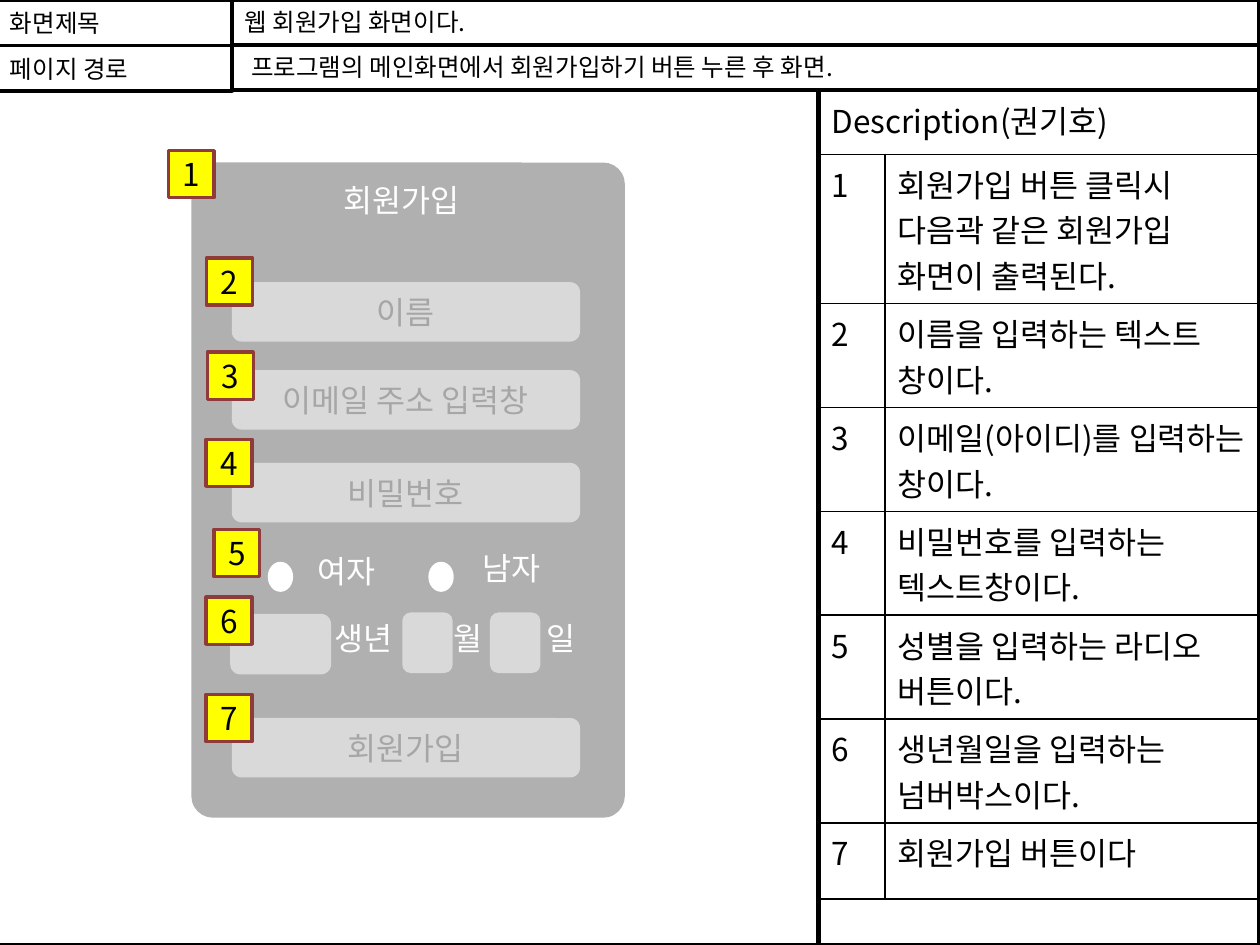
from dataclasses import dataclass

from lxml import etree
from pptx import Presentation
from pptx import util as u
from pptx.dml import color
from pptx.enum import shapes, text
from pptx.oxml import ns

Pt = u.Pt
rgb = color.RGBColor.from_string


@dataclass(frozen=True)
class Theme:
    font: str = "Noto Sans CJK KR"
    black: str = "000000"
    white: str = "FFFFFF"
    panel: str = "808080"
    field: str = "D9D9D9"
    hint: str = "A6A6A6"
    marker: str = "FFFF00"
    marker_line: str = "8E3B39"
    small: int = 14
    body: int = 18


theme = Theme()


def write(frame, content, size=theme.body, ink=theme.black, align=text.PP_ALIGN.LEFT,
          anchor=text.MSO_ANCHOR.MIDDLE):
    frame.word_wrap = True
    frame.vertical_anchor = anchor
    paragraph = frame.paragraphs[0]
    paragraph.alignment = align
    run = paragraph.add_run()
    run.text = content
    run.font.name = theme.font
    run.font.size = Pt(size)
    run.font.color.rgb = rgb(ink)
    # Hangul takes its typeface from the East Asian font
    east_asian = etree.SubElement(run.font._element, ns.qn("a:ea"))
    east_asian.set("typeface", theme.font)


def add_box(kind, left, top, width, height, fill=None, line=None):
    shape = slide.shapes.add_shape(kind, Pt(left), Pt(top), Pt(width), Pt(height))
    shape.shadow.inherit = False
    if fill:
        shape.fill.solid()
        shape.fill.fore_color.rgb = rgb(fill)
    else:
        shape.fill.background()
    if line:
        shape.line.color.rgb = rgb(line)
        shape.line.width = Pt(2)
    else:
        shape.line.fill.background()
    return shape


rectangle = shapes.MSO_SHAPE.RECTANGLE
rounded = shapes.MSO_SHAPE.ROUNDED_RECTANGLE
center = text.PP_ALIGN.CENTER

presentation = Presentation()
presentation.slide_width, presentation.slide_height = Pt(720), Pt(540)
slide = presentation.slides.add_slide(presentation.slide_layouts[5])

# Page frames
header_bottom = 51.8
for height in (540, header_bottom, 26):
    add_box(rectangle, -0.7, 0, 720, height, line=theme.black)

# Header labels, screen title and page path
for top, label in ((0, "화면제목"), (26, "페이지 경로")):
    shape = add_box(rectangle, -1.4, top, 134, 26, line=theme.black)
    write(shape.text_frame, label, size=theme.small)

title = slide.shapes.title
title.left, title.top, title.width, title.height = Pt(132.5), Pt(0), Pt(587), Pt(25.4)
title.line.color.rgb = rgb(theme.black)
title.line.width = Pt(2)
title.text_frame.auto_size = text.MSO_AUTO_SIZE.NONE
write(title.text_frame, "웹 회원가입 화면이다.", size=theme.small)

page_path = add_box(rectangle, 132.5, 25.4, 587, 26, line=theme.black)
page_path.text_frame.margin_left = Pt(11)
write(page_path.text_frame, "프로그램의 메인화면에서 회원가입하기 버튼 누른 후 화면.", size=theme.small)

# Screen area and description area
for left, width in ((-0.7, 468), (468, 252)):
    add_box(rectangle, left, header_bottom, width, 540 - header_bottom, line=theme.black)

# Description table
descriptions = [
    "회원가입 버튼 클릭시 다음곽 같은 회원가입 화면이 출력된다.",
    "이름을 입력하는 텍스트 창이다.",
    "이메일(아이디)를 입력하는 창이다.",
    "비밀번호를 입력하는 텍스트창이다.",
    "성별을 입력하는 라디오 버튼이다.",
    "생년월일을 입력하는 넘버박스이다.",
    "회원가입 버튼이다",
]
row_heights = [36.4, 72] + [50.4] * 5 + [43.6]
table = slide.shapes.add_table(len(row_heights), 2, Pt(468), Pt(header_bottom),
                               Pt(252), Pt(sum(row_heights))).table
table.first_row = table.horz_banding = False
table.columns[0].width, table.columns[1].width = Pt(37.8), Pt(214.2)
for row, height in zip(table.rows, row_heights):
    row.height = Pt(height)

for cell in table.iter_cells():
    cell.fill.background()
    properties = cell._tc.get_or_add_tcPr()
    for index, side in enumerate(("lnL", "lnR", "lnT", "lnB")):
        border = etree.Element(ns.qn(f"a:{side}"), w=str(Pt(1)))
        solid = etree.SubElement(border, ns.qn("a:solidFill"))
        etree.SubElement(solid, ns.qn("a:srgbClr"), val=theme.black)
        properties.insert(index, border)

table.cell(0, 0).merge(table.cell(0, 1))
write(table.cell(0, 0).text_frame, "Description(권기호)", anchor=text.MSO_ANCHOR.TOP)
for number, description in enumerate(descriptions, start=1):
    for column, content in enumerate((str(number), description)):
        write(table.cell(number, column).text_frame, content, anchor=text.MSO_ANCHOR.TOP)

# Sign-up form panel
panel = add_box(rounded, 109.4, 92.9, 247.7, 374.4, fill=theme.panel)
panel.adjustments[0] = 0.05
panel_color = panel.fill._xPr.find(".//" + ns.qn("a:srgbClr"))
etree.SubElement(panel_color, ns.qn("a:alpha"), val="62000")

# Wide fields and the sign-up button
for top, hint in ((161.2, "이름"), (211.5, "이메일 주소 입력창"),
                  (264.5, "비밀번호"), (410.3, "회원가입")):
    field = add_box(rounded, 132.5, top, 199, 34, fill=theme.field)
    write(field.text_frame, hint, ink=theme.hint, align=center)

# Gender radio buttons
for left in (153, 244.8):
    add_box(shapes.MSO_SHAPE.OVAL, left, 321, 14.5, 17.2, fill=theme.white)

# Birth date fields
for left, top, width in ((131.6, 350.8, 57.6), (229.9, 350, 28.8), (280, 350, 28.8)):
    add_box(rounded, left, top, width, 34.6, fill=theme.field)

# White form captions
for left, top, width, caption in (
    (189.4, 100, 87.8, "회원가입"),
    (174.2, 311.8, 51.1, "여자"),
    (268.6, 310.3, 51.1, "남자"),
    (184.3, 350, 55.4, "생년"),
    (252, 350, 34.6, "월"),
    (305.3, 350, 54.7, "일"),
):
    box = slide.shapes.add_textbox(Pt(left), Pt(top), Pt(width), Pt(29))
    box.text_frame.auto_size = text.MSO_AUTO_SIZE.SHAPE_TO_FIT_TEXT
    write(box.text_frame, caption, ink=theme.white, anchor=text.MSO_ANCHOR.TOP)

# Numbered markers
marker_places = [(96.2, 86.1), (118.1, 147.5), (118.6, 201.3), (117.8, 251),
                 (122.3, 302.5), (117.8, 341.3), (117.8, 396.8)]
for number, (left, top) in enumerate(marker_places, start=1):
    marker = add_box(rectangle, left, top, 26.2, 26.9, fill=theme.marker, line=theme.marker_line)
    write(marker.text_frame, str(number), align=center)

presentation.save("out.pptx")
